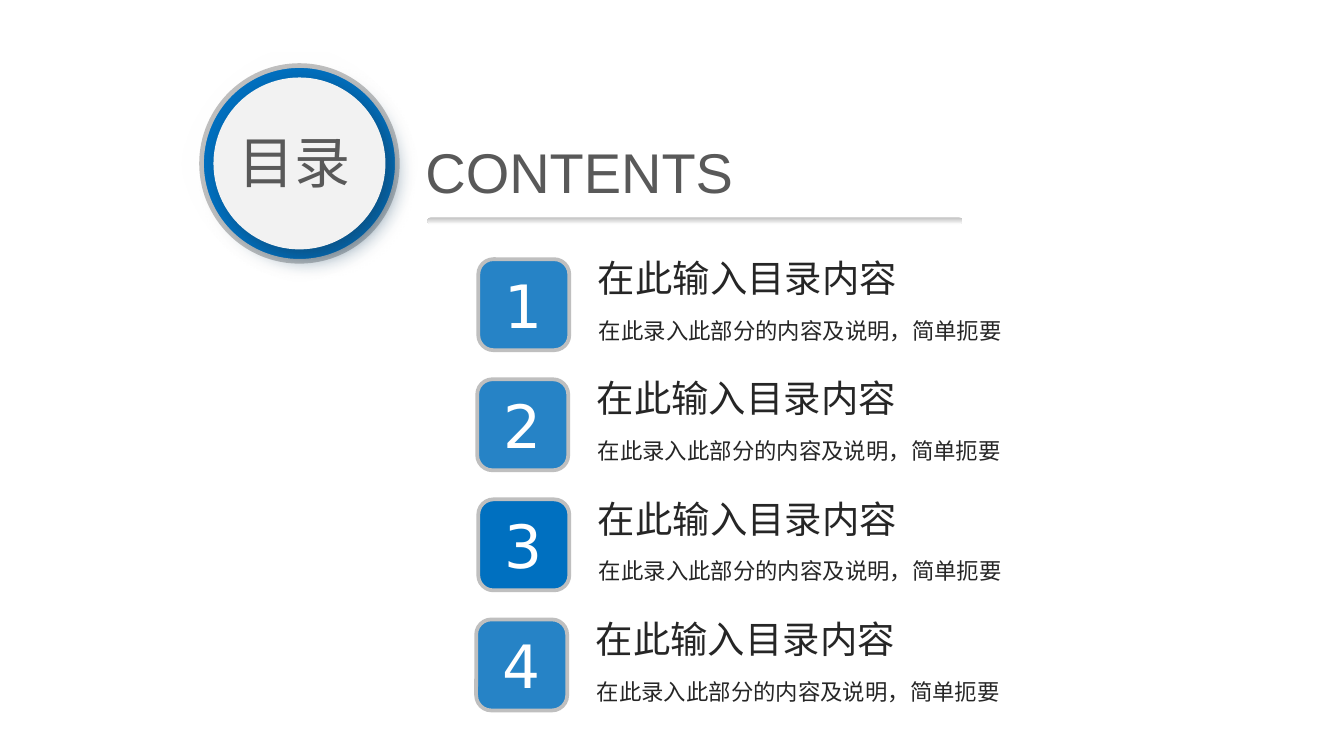
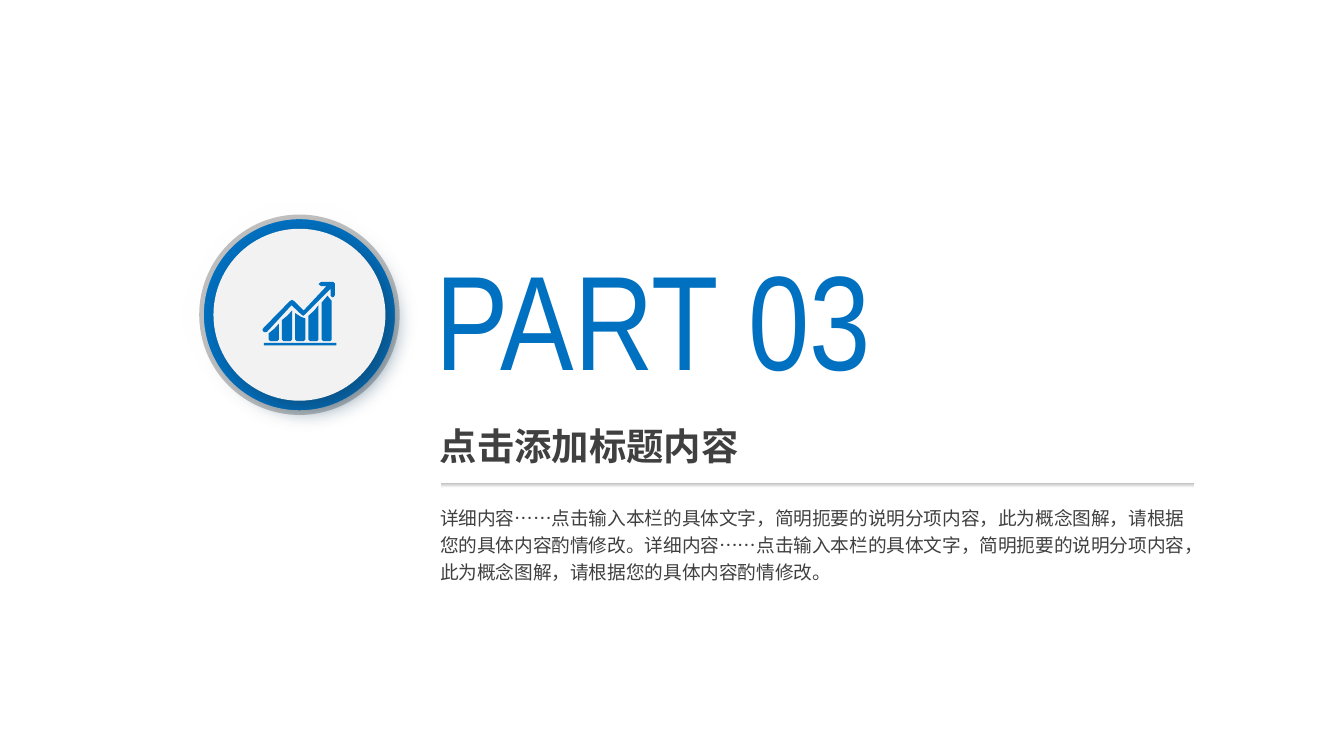
"""Build a contents slide and a section slide that share a round badge and a fading rule."""
from lxml.etree import SubElement as Sub
from pptx import Presentation
from pptx.dml.color import RGBColor as Rgb
from pptx.enum.shapes import MSO_SHAPE as Kind
from pptx.enum.text import MSO_ANCHOR as Anchor, MSO_AUTO_SIZE as Auto, PP_ALIGN as Align
from pptx.oxml.ns import qn
from pptx.util import Cm, Pt

HUE = {
    "blue": "0070C0", "sky": "2683C6", "white": "FFFFFF", "pale": "F2F2F2",
    "grey": "BFBFBF", "mid": "595959", "dark": "404040", "ink": "262626",
    "shade": "134163",
}
NOTO = "Noto Sans CJK SC"
SLIM = (0.18, 0.1)
WIDE = (0.25, 0.13)


def paint(form, *hues, edge=None, pts=2):
    """Fill with one hue or a downward fade, with an optional edge."""
    form.shadow.inherit = False
    if len(hues) == 1:
        form.fill.solid()
        form.fill.fore_color.rgb = Rgb.from_string(HUE[hues[0]])
    else:
        form.fill.gradient()
        form.fill.gradient_angle = 270
        for stop, hue in zip(form.fill.gradient_stops, hues):
            stop.color.rgb = Rgb.from_string(HUE[hue])
    if edge:
        form.line.color.rgb = Rgb.from_string(HUE[edge])
        form.line.width = Pt(pts)
    else:
        form.line.fill.background()
    return form


def write(form, text, size, face, hue, pad=WIDE, wrap=True, align=Align.LEFT):
    """Set one paragraph of text and return it."""
    frame = form.text_frame
    frame.word_wrap = wrap
    frame.margin_left = frame.margin_right = Cm(pad[0])
    frame.margin_top = frame.margin_bottom = Cm(pad[1])
    para = frame.paragraphs[0]
    para.text = text
    para.alignment = align
    para.font.size = Pt(size)
    para.font.name = face
    para.font.color.rgb = Rgb.from_string(HUE[hue])
    Sub(para._p.pPr.find(qn("a:defRPr")), qn("a:ea"), typeface=face)
    return para


deck = Presentation()
deck.slide_width, deck.slide_height = Cm(25.4), Cm(14.29)
pages = []

for mid, bar in ((3.09, (8.08, 4.11, 10.11, 0.13)), (5.95, (8.33, 9.13, 14.25, 0.09))):
    page = deck.slides.add_slide(deck.slide_layouts[6])
    pages.append(page.shapes)
    disks = []
    for size in (4.98, 3.7, 3.25):
        disks.append(page.shapes.add_shape(
            Kind.OVAL, Cm(5.66 - size / 2), Cm(mid - size / 2), Cm(size), Cm(size)))
    halo, ring, face = disks
    paint(halo, "white", "grey")
    for tint in halo._element.spPr.iter(qn("a:srgbClr")):
        Sub(tint, qn("a:alpha"), val="3000")
    Sub(halo._element.spPr.find(qn("a:effectLst")), qn("a:softEdge"), rad=str(Pt(12)))
    paint(ring, "blue", edge="grey", pts=2.5)
    paint(face, "pale")
    cast = Sub(face._element.spPr.find(qn("a:effectLst")), qn("a:outerShdw"),
               blurRad=str(Pt(12)), dist=str(Pt(6)), dir="2700000",
               algn="tl", rotWithShape="0")
    tint = Sub(cast, qn("a:srgbClr"), val=HUE["shade"])
    Sub(tint, qn("a:alpha"), val="64000")
    rule = page.shapes.add_shape(Kind.ROUNDED_RECTANGLE, *map(Cm, bar))
    rule.adjustments[0] = 0.5
    paint(rule, "grey", "white")

toc, part = pages

for box, text, face, align in (
    ((7.86, 2.5, 8.84, 1.47), "CONTENTS", "Arial", Align.LEFT),
    ((3.81, 2.31, 3.53, 1.47), "目录", "League Spartan", Align.CENTER),
):
    label = toc.add_textbox(*map(Cm, box))
    write(label, text, 30, face, "mid", SLIM, align=align)
    label.text_frame.auto_size = Auto.SHAPE_TO_FIT_TEXT

for row, shift in enumerate((0, -0.02, 0, -0.04)):
    drop = 2.27 * row
    tile = toc.add_shape(Kind.ROUNDED_RECTANGLE, Cm(9.04 + shift), Cm(4.9 + drop),
                         Cm(1.72), Cm(1.72))
    paint(tile, "blue" if row == 2 else "sky", edge="grey")
    write(tile, str(row + 1), 32, "DejaVu Sans", "white", align=Align.CENTER)
    tile.text_frame.vertical_anchor = Anchor.MIDDLE
    for left, top, wide, high, text, size in (
        (11.05, 4.7, 6.22, 1.12, "在此输入目录内容", 20),
        (11.07, 5.87, 8.2, 0.76, "在此录入此部分的内容及说明，简单扼要", 12),
    ):
        label = toc.add_textbox(Cm(left + shift), Cm(top + drop), Cm(wide), Cm(high))
        write(label, text, size, NOTO, "ink", wrap=False)
        label.text_frame.auto_size = Auto.SHAPE_TO_FIT_TEXT

head = part.add_textbox(Cm(8.05), Cm(4.37), Cm(10), Cm(3.28))
write(head, "PART 03", 72, "Arial Narrow", "blue", SLIM)
name = part.add_textbox(Cm(8.06), Cm(7.87), Cm(6.9), Cm(1.12))
write(name, "点击添加标题内容", 20, "Quicksand", "dark").font.bold = True
note = part.add_textbox(Cm(8.14), Cm(9.4), Cm(14.45), Cm(1.73))
body = ("详细内容……点击输入本栏的具体文字，简明扼要的说明分项内容，"
        "此为概念图解，请根据您的具体内容酌情修改。")
write(note, body * 2, 10, NOTO, "dark", SLIM).line_spacing = 1.2
for label in (head, name, note):
    label.text_frame.auto_size = Auto.SHAPE_TO_FIT_TEXT

base = part.add_shape(Kind.RECTANGLE, Cm(4.99), Cm(6.48), Cm(1.37), Cm(0.05))
paint(base, "blue")
paths = [[
    (505, 627), (551, 577), (569, 594), (573, 597), (577, 594), (625, 546),
    (625, 559), (628, 562), (631, 561), (633, 558), (633, 536), (630, 533),
    (607, 533), (602, 537), (607, 541), (617, 541), (574, 587), (556, 569),
    (552, 567), (548, 569), (498, 620), (496, 624), (499, 628), (502, 628),
]]
tops = ((630, 621, 612), (605, 596, 587), (592, 599, 602),
        (597, 587, 577), (572, 559, 569))
for num, (west, peak, east) in enumerate(tops):
    left = 508 + 25 * num
    right = left + 19
    paths.append([
        (left, west), (left + 11, peak), (right, east), (right, 642),
        (right - 3, 645), (left + 3, 645), (left, 642),
    ])
for dots in paths:
    pen = part.build_freeform(*dots[0], scale=Cm(1) / 100)
    pen.add_line_segments(dots[1:], close=True)
    paint(pen.convert_to_shape(), "blue")

deck.save("out.pptx")
